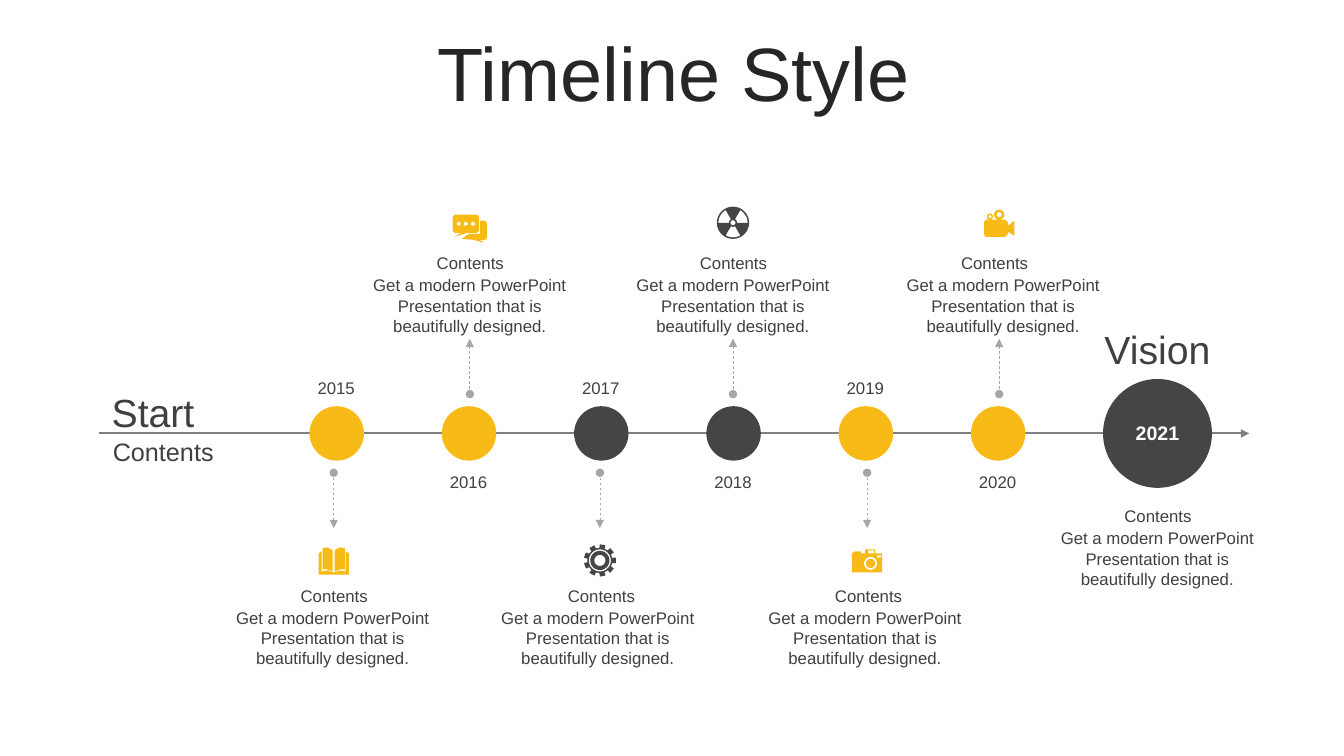
from math import cos, pi, sin

from lxml import etree
from pptx import Presentation
from pptx.dml.color import RGBColor
from pptx.enum.dml import MSO_LINE
from pptx.enum.shapes import MSO_CONNECTOR, MSO_SHAPE
from pptx.enum.text import MSO_ANCHOR, PP_ALIGN
from pptx.oxml.ns import qn
from pptx.util import Inches, Pt

LEFT, CENTER = PP_ALIGN.LEFT, PP_ALIGN.CENTER
TOP, MIDDLE = MSO_ANCHOR.TOP, MSO_ANCHOR.MIDDLE
OVAL, LINE, DASH = MSO_SHAPE.OVAL, MSO_CONNECTOR.STRAIGHT, MSO_LINE.DASH

FONT = "Arial"
COLORS = {
    "title": "262626", "text": "404040", "axis": "808080", "arrow": "A6A6A6",
    "gold": "F8BA16", "dark": "454545", "white": "FFFFFF",
}
BODY = "Get a modern PowerPoint Presentation that is beautifully designed."
AXIS_Y, FIRST_X, STEP, DOT = 4.3, 3.07, 1.312, 0.54

# Fill, arrow x, body left, heading left, icon
STOPS = [
    ("gold", 3.31, 2.2, 2.21, "book"),
    ("gold", 4.66, 3.56, 3.56, "chat"),
    ("dark", 5.95, 4.83, 4.86, "gear"),
    ("dark", 7.27, 6.17, 6.17, "atom"),
    ("gold", 8.6, 7.48, 7.51, "photo"),
    ("gold", 9.91, 8.85, 8.76, "film"),
]


# Icon outlines in hundredths of an inch around the centre; inner ones are holes
def spot(r, turn):
    return r * cos(turn), r * sin(turn)


def ring(x, y, r):
    return [(x + a, y + b) for a, b in (spot(r, k * pi / 16) for k in range(32))]


def rect(x, y, w, h):
    return [(x, y), (x + w, y), (x + w, y + h), (x, y + h)]


def book():
    page = [(1, -10), (6, -13), (11, -12), (11, 9), (6, 9), (1, 11)]
    cover = [(12, -9), (15, -7), (15, 14), (0, 14), (0, 12), (6, 10), (12, 11)]
    return [[(side * x, y) for x, y in part] for part in (page, cover) for side in (-1, 1)]


def chat():
    front = [(-15, -8), (7, -8), (9, -6), (9, 8), (7, 10), (-3, 10),
             (-15, 14), (-9, 10), (-15, 10), (-17, 8), (-17, -6)]
    back = [(10, -2), (15, -2), (17, 0), (17, 15), (15, 17), (10, 17),
            (14, 20), (4, 17), (-8, 16), (-1, 11), (10, 11)]
    return [front, back] + [ring(x, 1, 2) for x in (-11, -4, 3)]


def gear():
    tooth = 2 * pi / 9
    teeth = [spot(r, (k + turn) * tooth) for k in range(9)
             for r, turn in ((12.5, -0.3), (16, -0.25), (16, 0.25), (12.5, 0.3))]
    return [teeth] + [ring(0, 0, r) for r in (11, 9.5, 5.5)]


def atom():
    holes = []
    for third in range(3):
        arc = [pi / 2 + third * 2 * pi / 3 + k * pi / 24 for k in range(-4, 5)]
        holes.append([spot(14.5, t) for t in arc] + [spot(4, t) for t in arc[::-1]])
    return [ring(0, 0, 16), ring(0, 0, 2.5)] + holes


def photo():
    body = [(-15, -7), (-12, -9), (-6, -9), (-6, -7), (-2, -7), (-2, -11),
            (8, -11), (8, -7), (15, -7), (15, 12), (-15, 12)]
    return [body, ring(3.5, 3, 6.5), ring(3.5, 3, 4.5),
            rect(1, -10, 6, 3), rect(10, -5, 4, 2)]


def film():
    body = [(-13, -3), (6, -3), (9, 0), (9, 3), (15, -2), (15, 13),
            (9, 9), (9, 11), (6, 14), (-13, 14), (-15, 12), (-15, -1)]
    reels = [ring(x, y, r) for x, y, size in ((-9, -6, 3), (0, -8, 5))
             for r in (size, size / 2)]
    return [body] + reels


ICONS = {"book": book, "chat": chat, "gear": gear,
         "atom": atom, "photo": photo, "film": film}


# Basic parts
def color(name):
    return RGBColor.from_string(COLORS[name])


def write(frame, text, size, tint="text", align=CENTER, anchor=TOP, bold=False):
    frame.word_wrap = True
    frame.vertical_anchor = anchor
    para = frame.paragraphs[0]
    para.alignment = align
    run = para.add_run()
    run.text = text
    font = run.font
    font.name, font.size, font.bold = FONT, Pt(size), bold
    font.color.rgb = color(tint)
    return para


def label(slide, box, text, size, **style):
    area = slide.shapes.add_textbox(*map(Inches, box))
    write(area.text_frame, text, size, **style)


def paint(shape, tint):
    shape.shadow.inherit = False
    shape.fill.solid()
    shape.fill.fore_color.rgb = color(tint)
    shape.line.fill.background()


def dot(slide, x, y, size, tint):
    paint(slide.shapes.add_shape(OVAL, *map(Inches, (x, y, size, size))), tint)


def arrow(slide, start, end, tint, width, dash=None, tail=None):
    link = slide.shapes.add_connector(LINE, *map(Inches, (*start, *end)))
    link.line.color.rgb = color(tint)
    link.line.width = Pt(width)
    if dash:
        link.line.dash_style = dash
    props = link._element.spPr.find(qn("a:ln"))
    etree.SubElement(props, qn("a:headEnd"), type="triangle")
    if tail:
        etree.SubElement(props, qn("a:tailEnd"), type=tail)
    etree.SubElement(link._element.spPr, qn("a:effectLst"))


def icon(slide, x, y, name, tint):
    parts = [[(Inches(a / 100), Inches(b / 100)) for a, b in part]
             for part in ICONS[name]()]
    pen = slide.shapes.build_freeform(*parts[0][0])
    for part in parts:
        if part is not parts[0]:
            pen.move_to(*part[0])
        pen.add_line_segments(part[1:], close=True)
    paint(pen.convert_to_shape(Inches(x), Inches(y)), tint)


# Regions of the slide
def title(slide, box):
    head = slide.shapes.title
    head.left, head.top, head.width, head.height = map(Inches, box)
    para = write(head.text_frame, "Timeline Style", 54, tint="title", anchor=MIDDLE)
    para.line_spacing = 0.9


def axis(slide, x, y, width):
    arrow(slide, (x + width, y), (x, y), "axis", 1.5)
    label(slide, (x + 0.03, y - 0.5, 1.3, 0.57), "Start", 28, align=LEFT, anchor=MIDDLE)
    label(slide, (x + 0.04, y - 0.02, 1.28, 0.3), "Contents", 18, align=LEFT)


def stop(slide, x, y, year, below, data):
    tint, link, left, side, name = data
    sign = 1 if below else -1
    top = y + (1.68 if below else -1.62)
    dot(slide, x, y - DOT / 2, DOT, tint)
    label(slide, (x - 0.02, y + (-0.6 if below else 0.33), 0.57, 0.3), str(year), 12)
    arrow(slide, (link, y + sign * 0.94), (link, y + sign * 0.39),
          "arrow", 0.5, DASH, "oval")
    label(slide, (left, top, 2.2, 0.71), BODY, 12)
    label(slide, (side, top - 0.22, 2.21, 0.3), "Contents", 12)
    icon(slide, link, y + (1.26 if below else -2.09), name, tint)


def vision(slide, x, y, size):
    dot(slide, x, y - size / 2, size, "dark")
    label(slide, (x + 0.15, y - 0.17, 0.78, 0.34), "2021", 14, tint="white", bold=True)
    label(slide, (x - 0.11, y - 1.12, 1.3, 0.57), "Vision", 28, anchor=MIDDLE)
    label(slide, (x - 0.21, y + 0.67, 1.51, 0.3), "Contents", 12)
    label(slide, (x - 0.56, y + 0.89, 2.2, 0.71), BODY, 12)


def main():
    deck = Presentation()
    deck.slide_width, deck.slide_height = Inches(13.33), Inches(7.5)
    slide = deck.slides.add_slide(deck.slide_layouts[5])
    title(slide, (0.35, 0.37, 12.66, 0.79))
    axis(slide, 0.98, AXIS_Y, 11.41)
    for i, data in enumerate(STOPS):
        stop(slide, FIRST_X + i * STEP, AXIS_Y, 2015 + i, i % 2 == 0, data)
    vision(slide, 10.94, AXIS_Y, 1.08)
    deck.save("out.pptx")


if __name__ == "__main__":
    main()
